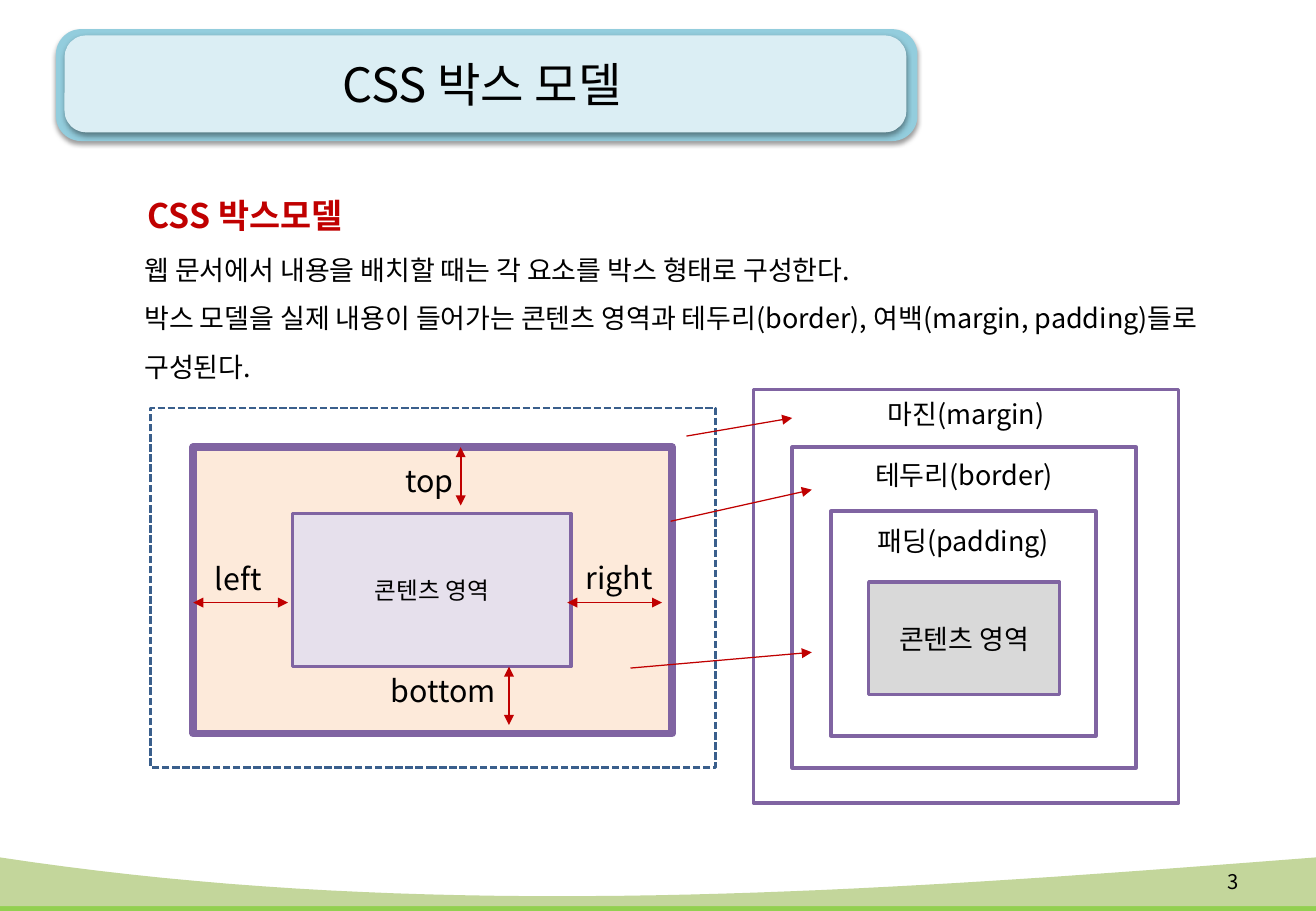
from dataclasses import dataclass
from typing import Optional

from lxml.etree import SubElement
from pptx import Presentation
from pptx.dml.color import RGBColor
from pptx.enum.dml import MSO_LINE
from pptx.enum.shapes import MSO_CONNECTOR, MSO_SHAPE
from pptx.enum.text import MSO_ANCHOR, PP_ALIGN
from pptx.oxml.ns import qn
from pptx.shapes.autoshape import Shape
from pptx.slide import Slide
from pptx.util import Cm, Pt


@dataclass(frozen=True)
class Theme:
    font: str = "Noto Sans CJK KR"
    black: str = "000000"
    red: str = "C00000"
    purple: str = "8064A2"
    navy: str = "3A5F8C"
    white: str = "FFFFFF"
    gray: str = "D9D9D9"
    peach: str = "FDEADA"
    lavender: str = "E6E0EC"
    title_edge: str = "93CDDD"
    title_face: str = "DBEEF4"
    green: str = "92D050"
    pale_green: str = "C3D69B"
    title_size: float = 28
    heading_size: float = 20
    side_size: float = 18
    body_size: float = 16
    content_size: float = 14
    number_size: float = 12


THEME = Theme()


@dataclass(frozen=True)
class Area:
    left: float
    top: float
    width: float
    height: float


@dataclass(frozen=True)
class Box:
    area: Area
    fill: Optional[str] = None
    line: Optional[str] = THEME.purple
    weight: float = 2
    dashed: bool = False
    rounded: bool = False
    text: str = ""
    size: float = THEME.body_size
    inset: Optional[float] = None


@dataclass(frozen=True)
class Label:
    area: Area
    text: str
    size: float = THEME.side_size
    color: str = THEME.black
    bold: bool = False
    align: PP_ALIGN = PP_ALIGN.LEFT
    anchor: MSO_ANCHOR = MSO_ANCHOR.TOP
    spacing: float = 1


@dataclass(frozen=True)
class Arrow:
    start: tuple[float, float]
    end: tuple[float, float]
    weight: float = 0.75
    double: bool = False


@dataclass(frozen=True)
class Wave:
    edge: float
    controls: tuple[float, float]
    bottom: float
    color: str


WIDTH, HEIGHT = 27.51, 19.05
WAVE_STEPS = 40

GREEN_WAVE = Wave(18.39, (19.3, 18.87), 19.05, THEME.green)
PALE_WAVE = Wave(17.93, (19.33, 18.64), 18.95, THEME.pale_green)

TITLE_PLATES = [
    Box(Area(1.17, 0.61, 18.01, 2.34), THEME.title_edge, None, rounded=True),
    Box(Area(1.35, 0.74, 17.6, 2.03), THEME.title_face, None, rounded=True),
]
MODEL_BOXES = [
    Box(Area(4.04, 9.35, 10.01, 5.99), THEME.peach, weight=4.5),
    Box(Area(6.12, 10.74, 5.82, 3.2), THEME.lavender, text="콘텐츠 영역", size=THEME.content_size),
    Box(Area(15.75, 8.15, 8.89, 8.64), THEME.white, text="마진(margin)", inset=0.17),
    Box(Area(16.56, 9.35, 7.19, 6.71), THEME.white, text="테두리(border)", inset=0.24),
    Box(Area(17.37, 10.69, 5.54, 4.7), THEME.white, text="패딩(padding)", inset=0.27),
    Box(Area(18.16, 12.17, 3.99, 2.36), THEME.gray, text="콘텐츠 영역"),
    Box(Area(3.15, 8.53, 11.81, 7.52), line=THEME.navy, weight=1.5, dashed=True),
]
LABELS = [
    Label(Area(1.17, 0.56, 17.81, 2.39), "CSS 박스 모델", THEME.title_size,
          align=PP_ALIGN.CENTER, anchor=MSO_ANCHOR.MIDDLE),
    Label(Area(24.59, 17.93, 1.55, 1.02), "3", THEME.number_size,
          align=PP_ALIGN.RIGHT, anchor=MSO_ANCHOR.MIDDLE),
    Label(Area(2.84, 3.53, 5.51, 1.42), "CSS 박스모델", THEME.heading_size, THEME.red, True, spacing=1.5),
    Label(Area(2.77, 4.83, 23.8, 3.33),
          "웹 문서에서 내용을 배치할 때는 각 요소를 박스 형태로 구성한다.\n"
          "박스 모델을 실제 내용이 들어가는 콘텐츠 영역과 테두리(border), "
          "여백(margin, padding)들로 구성된다.",
          THEME.body_size, spacing=1.5),
    Label(Area(8.23, 9.55, 1.8, 1.02), "top"),
    Label(Area(11.99, 11.56, 2.21, 1.02), "right"),
    Label(Area(7.92, 13.94, 2.9, 1.02), "bottom"),
    Label(Area(4.24, 11.58, 2.21, 1.02), "left"),
]
ARROWS = [
    Arrow((9.63, 9.35), (9.63, 10.57), 1, True),
    Arrow((10.64, 13.94), (10.64, 15.16), 1, True),
    Arrow((11.86, 12.6), (13.84, 12.6), 1, True),
    Arrow((4.04, 12.6), (6.02, 12.6), 1, True),
    Arrow((14.35, 9.12), (16.56, 8.74)),
    Arrow((14.02, 10.9), (16.97, 10.24)),
    Arrow((13.18, 13.97), (16.97, 13.64)),
]


def place(area: Area) -> tuple[Cm, Cm, Cm, Cm]:
    return Cm(area.left), Cm(area.top), Cm(area.width), Cm(area.height)


def write_text(shape: Shape, text: str, *, size: float, color: str = THEME.black,
               bold: bool = False, align: PP_ALIGN = PP_ALIGN.CENTER,
               anchor: MSO_ANCHOR = MSO_ANCHOR.MIDDLE, spacing: float = 1) -> None:
    frame = shape.text_frame
    frame.word_wrap = True
    frame.vertical_anchor = anchor
    for index, line in enumerate(text.split("\n")):
        para = frame.add_paragraph() if index else frame.paragraphs[0]
        para.alignment = align
        para.line_spacing = spacing
        span = para.add_run()
        span.text = line
        span.font.size = Pt(size)
        span.font.bold = bold
        span.font.color.rgb = RGBColor.from_string(color)
        span.font.name = THEME.font
        SubElement(span.font._element, qn("a:ea"), typeface=THEME.font)


def add_shadow(shape: Shape) -> None:
    effects = shape._element.spPr.find(qn("a:effectLst"))
    shadow = SubElement(effects, qn("a:outerShdw"), blurRad=str(Pt(3.1)), dist=str(Pt(1.6)),
                        dir="5400000", rotWithShape="0")
    tint = SubElement(shadow, qn("a:srgbClr"), val=THEME.black)
    SubElement(tint, qn("a:alpha"), val="38000")


def draw_box(page: Slide, box: Box) -> None:
    kind = MSO_SHAPE.ROUNDED_RECTANGLE if box.rounded else MSO_SHAPE.RECTANGLE
    shape = page.shapes.add_shape(kind, *place(box.area))
    shape.shadow.inherit = False
    if box.fill:
        shape.fill.solid()
        shape.fill.fore_color.rgb = RGBColor.from_string(box.fill)
    else:
        shape.fill.background()
    if box.line:
        shape.line.color.rgb = RGBColor.from_string(box.line)
        shape.line.width = Pt(box.weight)
    else:
        shape.line.fill.background()
    if box.dashed:
        shape.line.dash_style = MSO_LINE.SQUARE_DOT
    if box.rounded:
        shape.adjustments[0] = 0.225
        add_shadow(shape)
    if box.text:
        anchor = MSO_ANCHOR.MIDDLE if box.inset is None else MSO_ANCHOR.TOP
        write_text(shape, box.text, size=box.size, anchor=anchor)
    if box.inset is not None:
        shape.text_frame.margin_top = Cm(box.inset)


def draw_label(page: Slide, label: Label) -> None:
    shape = page.shapes.add_textbox(*place(label.area))
    write_text(shape, label.text, size=label.size, color=label.color, bold=label.bold,
               align=label.align, anchor=label.anchor, spacing=label.spacing)


def draw_arrow(page: Slide, arrow: Arrow) -> None:
    ends = [Cm(value) for value in (*arrow.start, *arrow.end)]
    connector = page.shapes.add_connector(MSO_CONNECTOR.STRAIGHT, *ends)
    connector.line.color.rgb = RGBColor.from_string(THEME.red)
    connector.line.width = Pt(arrow.weight)
    outline = connector.line._get_or_add_ln()
    for tag in ("a:headEnd", "a:tailEnd") if arrow.double else ("a:tailEnd",):
        SubElement(outline, qn(tag), type="triangle")
    SubElement(connector._element.spPr, qn("a:effectLst"))


def draw_wave(page: Slide, wave: Wave) -> None:
    first, second = wave.controls
    points = []
    for step in range(WAVE_STEPS + 1):
        t = step / WAVE_STEPS
        ends = (1 - t) ** 3 + t ** 3
        y = ends * wave.edge + 3 * t * (1 - t) * ((1 - t) * first + t * second)
        points.append((Cm(WIDTH * t), Cm(y)))
    points += [(Cm(WIDTH), Cm(wave.bottom)), (Cm(0), Cm(wave.bottom))]
    builder = page.shapes.build_freeform(*points[0])
    builder.add_line_segments(points[1:], close=True)
    shape = builder.convert_to_shape()
    shape.shadow.inherit = False
    shape.fill.solid()
    shape.fill.fore_color.rgb = RGBColor.from_string(wave.color)
    shape.line.fill.background()


def main() -> None:
    deck = Presentation()
    deck.slide_width, deck.slide_height = Cm(WIDTH), Cm(HEIGHT)
    page = deck.slides.add_slide(deck.slide_layouts[6])
    draw_wave(page, GREEN_WAVE)
    draw_wave(page, PALE_WAVE)
    for box in TITLE_PLATES + MODEL_BOXES:
        draw_box(page, box)
    for label in LABELS:
        draw_label(page, label)
    for arrow in ARROWS:
        draw_arrow(page, arrow)
    deck.save("out.pptx")


if __name__ == "__main__":
    main()
